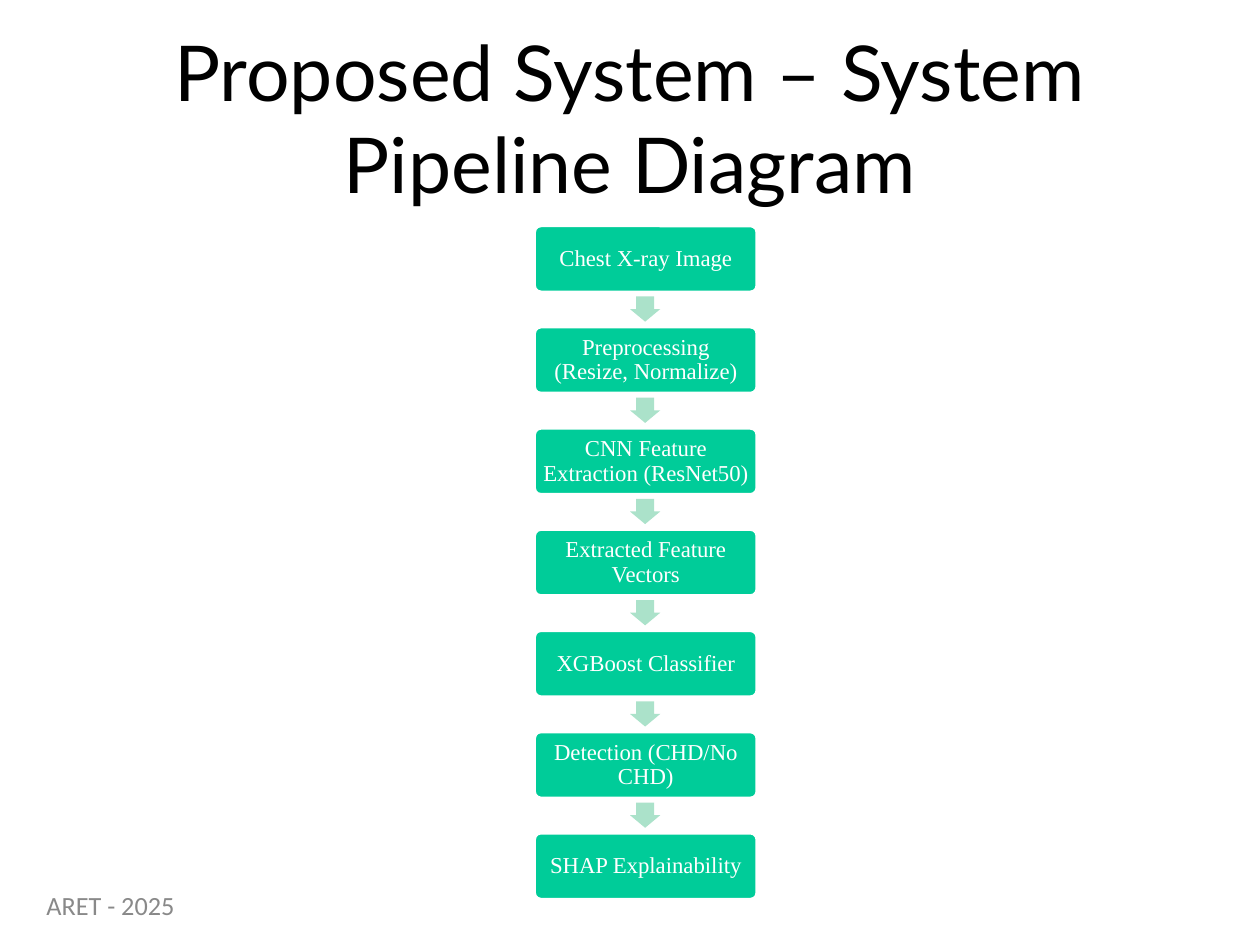
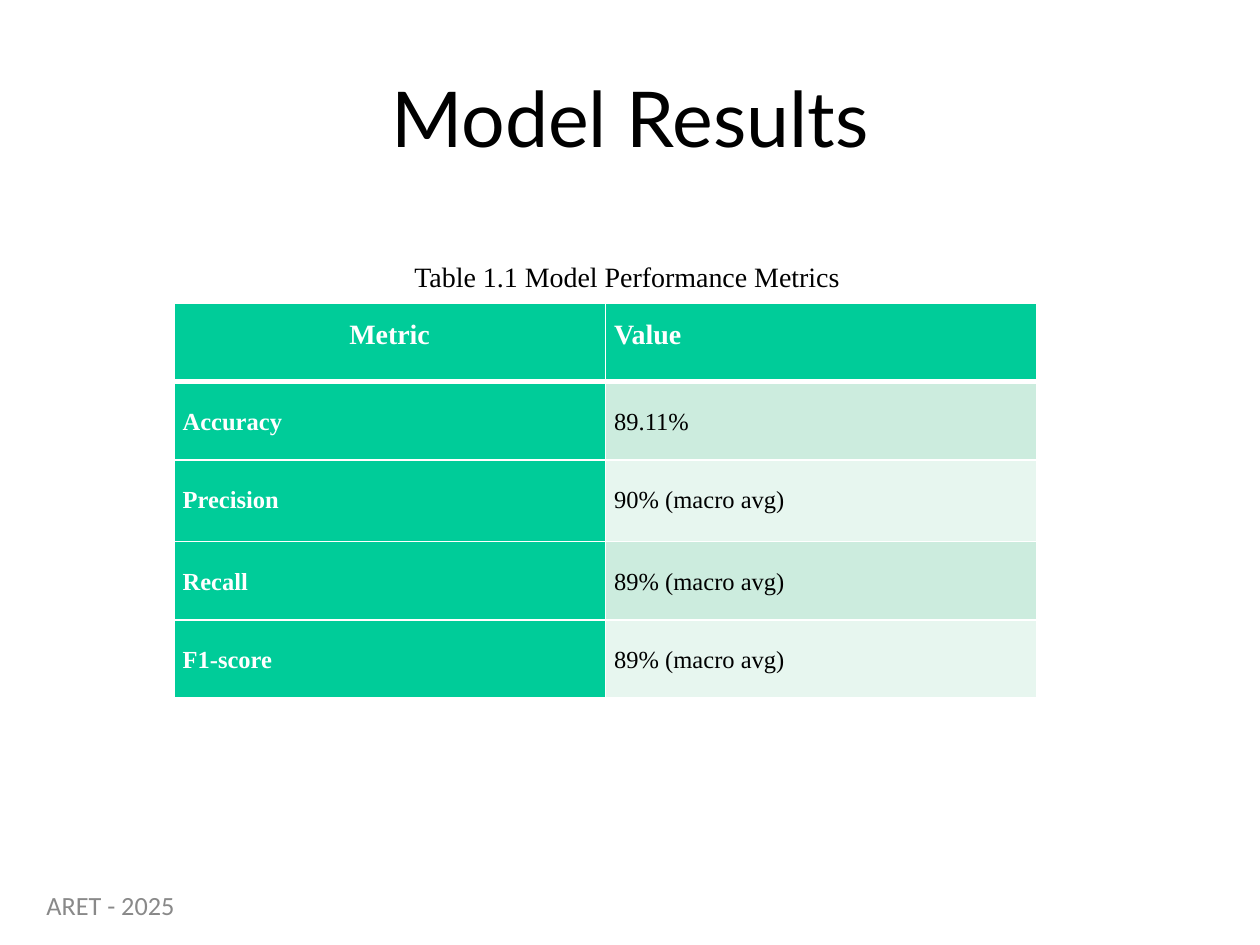
"""Builds a pipeline slide and a results table slide."""
from lxml import etree
from pptx import Presentation
from pptx.dml.color import RGBColor
from pptx.enum.shapes import MSO_SHAPE
from pptx.enum.text import MSO_ANCHOR, PP_ALIGN
from pptx.oxml.ns import qn
from pptx.util import Inches, Pt

BOX, ARROW = MSO_SHAPE.ROUNDED_RECTANGLE, MSO_SHAPE.RIGHT_ARROW
MIDDLE, TOP = MSO_ANCHOR.MIDDLE, MSO_ANCHOR.TOP
LEFT, CENTER, JUSTIFY = PP_ALIGN.LEFT, PP_ALIGN.CENTER, PP_ALIGN.JUSTIFY

FOOTER = "ARET - 2025"
STEPS_TITLE = "Proposed System – System Pipeline Diagram"
STEPS = [
    "Chest X-ray Image",
    "Preprocessing (Resize, Normalize)",
    "CNN Feature Extraction (ResNet50)",
    "Extracted Feature Vectors",
    "XGBoost Classifier",
    "Detection (CHD/No CHD)",
    "SHAP Explainability",
]
TABLE_TITLE = "Model Results"
CAPTION = "Table 1.1 Model Performance Metrics"
ROWS = [
    ("Metric", "Value"),
    ("Accuracy", "89.11%"),
    ("Precision", "90% (macro avg)"),
    ("Recall", "89% (macro avg)"),
    ("F1-score", "89% (macro avg)"),
]
HEIGHTS = [0.62, 0.62, 0.65, 0.62, 0.62]

COLORS = {
    "black": "000000", "white": "FFFFFF", "gray": "898989", "green": "00CC99",
    "arrow": "ABE2CA", "band": "CCECDE", "pale": "E7F6EF",
}
SERIF = "Times New Roman"
STYLES = {
    "title": ({"name": "Lato", "size": Pt(44)}, {"alignment": CENTER}, "black"),
    "footer": ({"name": "Calibri", "size": Pt(15)},
               {"alignment": LEFT, "line_spacing": 0.8, "space_before": Pt(3.8)}, "gray"),
    "step": ({"name": SERIF, "size": Pt(13)},
             {"alignment": CENTER, "line_spacing": 0.9}, "white"),
    "caption": ({"name": SERIF, "size": Pt(16)}, {"alignment": LEFT}, "black"),
    "head": ({"name": SERIF, "size": Pt(16), "bold": True},
             {"line_spacing": 1.5, "space_before": Pt(6)}, "white"),
    "label": ({"name": SERIF, "size": Pt(14), "bold": True},
              {"line_spacing": 2.0, "space_before": Pt(6)}, "white"),
    "value": ({"name": SERIF, "size": Pt(14), "bold": False},
              {"line_spacing": 2.0, "space_before": Pt(6)}, "black"),
}


def rgb(name):
    return RGBColor.from_string(COLORS[name])


def put(item, values):
    for key, value in values.items():
        setattr(item, key, value)


def write(frame, text, style):
    font, layout, color = STYLES[style]
    para = frame.paragraphs[0]
    put(para, layout)
    run = para.add_run()
    run.text = text
    put(run.font, font)
    run.font.color.rgb = rgb(color)
    return para


def pads(x, y):
    return {"margin_left": Inches(x), "margin_right": Inches(x),
            "margin_top": Inches(y), "margin_bottom": Inches(y)}


def label(slide, text, style, place, anchor=TOP):
    frame = slide.shapes.add_textbox(*map(Inches, place)).text_frame
    put(frame, {"word_wrap": True, "vertical_anchor": anchor})
    write(frame, text, style)


def shape(slide, kind, place, fill, adjust):
    item = slide.shapes.add_shape(kind, *map(Inches, place))
    item.shadow.inherit = False
    item.fill.solid()
    item.fill.fore_color.rgb = rgb(fill)
    item.line.fill.background()
    for i, value in enumerate(adjust):
        item.adjustments[i] = value
    return item


def start(deck, title):
    slide = deck.slides.add_slide(deck.slide_layouts[6])
    label(slide, title, "title", (0.5, 0.3, 9, 1.25), MIDDLE)
    label(slide, FOOTER, "footer", (0.27, 7.06, 7.24, 0.32))
    return slide


def flow(slide):
    left, top, wide, high = 4.24, 1.79, 1.77, 0.53
    pitch = 4.82 / (len(STEPS) - 1)
    for i, text in enumerate(STEPS):
        y = top + i * pitch
        if i:
            arrow = shape(slide, ARROW, (5.02, y - 0.26, 0.2, 0.24), "arrow", (0.6, 0.5))
            arrow.rotation = 90
        box = shape(slide, BOX, (left, y, wide, high), "green", (0.1,))
        box.line.color.rgb = rgb("white")
        box.line.width = Pt(2)
        put(box.text_frame, {"word_wrap": True, "vertical_anchor": MIDDLE, **pads(0.05, 0.05)})
        write(box.text_frame, text, "step")


def edge(cell, sides):
    props = cell._tc.get_or_add_tcPr()
    for side, width in sides.items():
        line = etree.SubElement(props, qn(f"a:ln{side}"), w=str(Pt(width)))
        fill = etree.SubElement(line, qn("a:solidFill"))
        etree.SubElement(fill, qn("a:srgbClr"), val=COLORS["white"])


def grid(slide):
    place = map(Inches, (1.38, 2.41, 6.85, sum(HEIGHTS)))
    table = slide.shapes.add_table(len(ROWS), len(ROWS[0]), *place).table
    for r, row in enumerate(ROWS):
        table.rows[r].height = Inches(HEIGHTS[r])
        for c, text in enumerate(row):
            cell = table.cell(r, c)
            edge(cell, {"L": 1, "R": 1, "T": 3 if r == 1 else 1, "B": 1 if r else 3})
            style = "head" if r == 0 else ("label", "value")[c]
            tint = ("pale", "band")[r % 2] if style == "value" else "green"
            cell.fill.solid()
            cell.fill.fore_color.rgb = rgb(tint)
            put(cell, pads(0.07, 0))
            para = write(cell.text_frame, text, style)
            para.alignment = JUSTIFY if r or c else CENTER


def main():
    deck = Presentation()
    put(deck, {"slide_width": Inches(10), "slide_height": Inches(7.5)})
    flow(start(deck, STEPS_TITLE))
    slide = start(deck, TABLE_TITLE)
    grid(slide)
    label(slide, CAPTION, "caption", (3.19, 2.01, 4.49, 0.37))
    deck.save("out.pptx")


if __name__ == "__main__":
    main()
